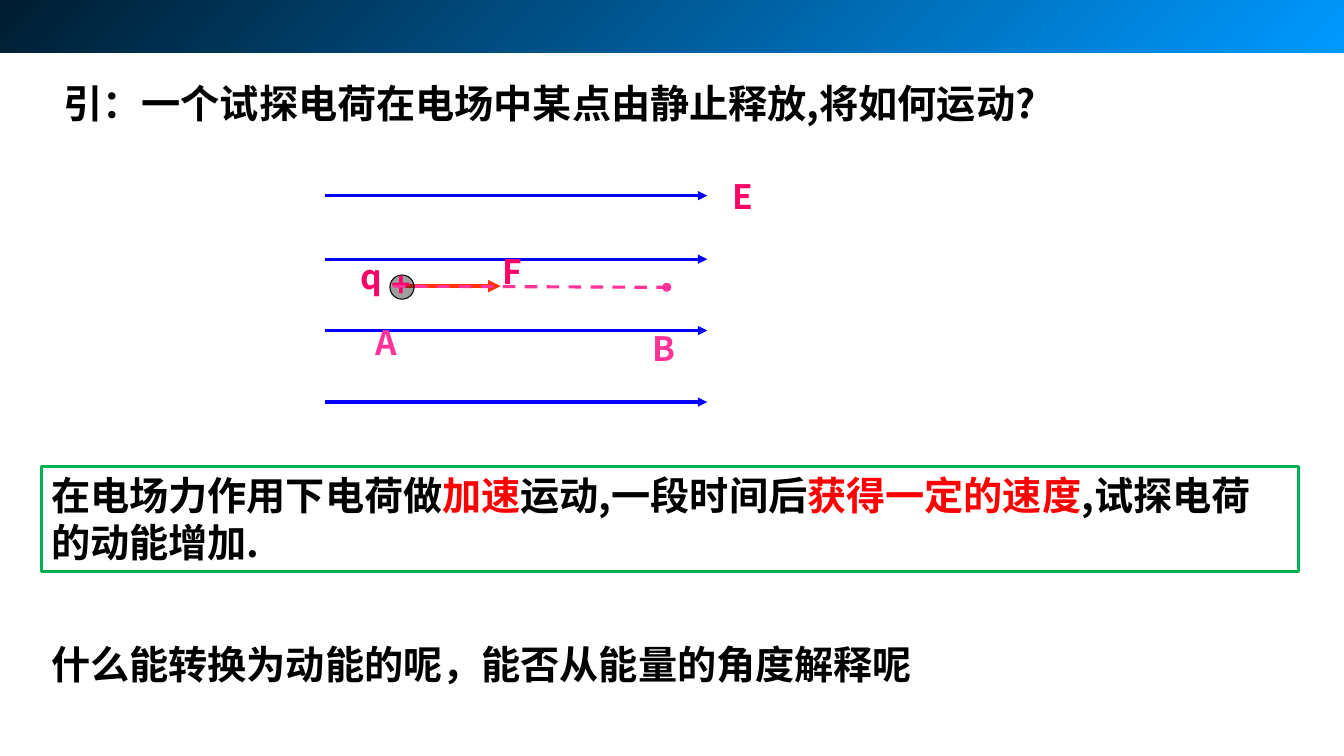
"""Build a physics slide about a test charge released in a uniform electric field."""
from lxml.etree import SubElement
from pptx import Presentation
from pptx.dml.color import RGBColor
from pptx.enum.dml import MSO_LINE_DASH_STYLE as Dash
from pptx.enum.shapes import MSO_CONNECTOR as Connector, MSO_SHAPE as Preset
from pptx.enum.text import MSO_ANCHOR as Anchor, PP_ALIGN as Align
from pptx.oxml.ns import qn
from pptx.util import Cm, Pt

FONT = "Noto Sans CJK SC"
BLACK = RGBColor(0x00, 0x00, 0x00)
RED = RGBColor(0xFF, 0x00, 0x00)
GREEN = RGBColor(0x00, 0xB0, 0x50)
BLUE = RGBColor(0x00, 0x00, 0xFF)
ORANGE = RGBColor(0xFF, 0x33, 0x00)
CRIMSON = RGBColor(0xFF, 0x00, 0x66)
PINK = RGBColor(0xFF, 0x33, 0x99)
NAVY = RGBColor(0x00, 0x1D, 0x31)
SKY = RGBColor(0x00, 0x99, 0xFF)

deck = Presentation()
deck.slide_width, deck.slide_height = Cm(33.88), Cm(19.05)
page = deck.slides.add_slide(deck.slide_layouts[6])


def add_text(place, parts, size, spacing=None):
    """Add a bold text box made of (wording, colour) parts."""
    box = page.shapes.add_textbox(*map(Cm, place))
    frame = box.text_frame
    frame.word_wrap, frame.vertical_anchor = True, Anchor.TOP
    para = frame.paragraphs[0]
    para.alignment, para.line_spacing = Align.LEFT, spacing
    for wording, colour in parts:
        span = para.add_run()
        span.text = wording
        for name, value in {"size": Pt(size), "bold": True, "name": FONT}.items():
            setattr(span.font, name, value)
        span.font.color.rgb = colour
        SubElement(span.font._element, qn("a:ea"), typeface=FONT)
    return box


def add_line(ends, colour, width, arrow=True):
    """Add a straight line, with an arrowhead at its end when asked."""
    line = page.shapes.add_connector(Connector.STRAIGHT, *map(Cm, ends))
    line.line.color.rgb, line.line.width = colour, Pt(width)
    if arrow:
        SubElement(line.line._get_or_add_ln(), qn("a:tailEnd"), type="triangle")
    SubElement(line._element.spPr, qn("a:effectLst"))
    return line


banner = page.shapes.add_shape(Preset.RECTANGLE, 0, 0, deck.slide_width, Cm(1.32))
banner.shadow.inherit = False
banner.line.fill.background()
banner.fill.gradient()
banner.fill.gradient_angle = 315
for stop, position, colour in zip(banner.fill.gradient_stops, (0, 1), (NAVY, SKY)):
    stop.position, stop.color.rgb = position, colour

add_text((1.35, 1.88, 31.88, 1.45),
         [("引：一个试探电荷在电场中某点由静止释放,将如何运动?", BLACK)], 28)
answer = add_text((1.04, 11.76, 31.7, 2.64), [
    ("在电场力作用下电荷做", BLACK), ("加速", RED), ("运动,一段时间后", BLACK),
    ("获得一定的速度", RED), (",试探电荷的动能增加.", BLACK)], 28)
answer.line.color.rgb, answer.line.width = GREEN, Pt(2.25)
add_text((1.04, 16, 22.94, 1.45),
         [("什么能转换为动能的呢，能否从能量的角度解释呢", BLACK)], 28)

for height in (4.93, 6.53, 8.33, 10.13):
    add_line((8.2, height, 17.83, height), BLUE, 2.25)
add_line((10.21, 7.21, 12.62, 7.21), ORANGE, 3)

charge = page.shapes.add_shape(Preset.OVAL, *map(Cm, (9.83, 6.93, 0.61, 0.61)))
point_b = page.shapes.add_shape(Preset.OVAL, *map(Cm, (16.71, 7.14, 0.2, 0.2)))
for dot, colour in ((charge, BLACK), (point_b, PINK)):
    dot.shadow.inherit = False
    dot.fill.solid()
    dot.fill.fore_color.rgb = dot.line.color.rgb = colour
    dot.line.width = Pt(0.75)
charge_colour = charge._element.spPr.find(qn("a:solidFill"))[0]
SubElement(charge_colour, qn("a:alpha"), val="38000")

for letter, place, colour, spacing in (
        ("E", (18.21, 4.32, 1.6, 1.27), CRIMSON, None),
        ("F", (12.42, 6.2, 1.6, 1.27), CRIMSON, None),
        ("+", (9.63, 6.53, 1.19, 1.27), CRIMSON, None),
        ("q", (8.84, 6.32, 1.6, 1.27), CRIMSON, None),
        ("A", (9.22, 7.39, 2.41, 1.88), PINK, 1.6),
        ("B", (16.21, 7.42, 2.41, 1.98), PINK, 1.7)):
    add_text(place, [(letter, colour)], 24, spacing)

track = add_line((9.91, 7.21, 16.71, 7.24), PINK, 2.25, arrow=False)
track.line.dash_style = Dash.DASH

deck.save("out.pptx")
